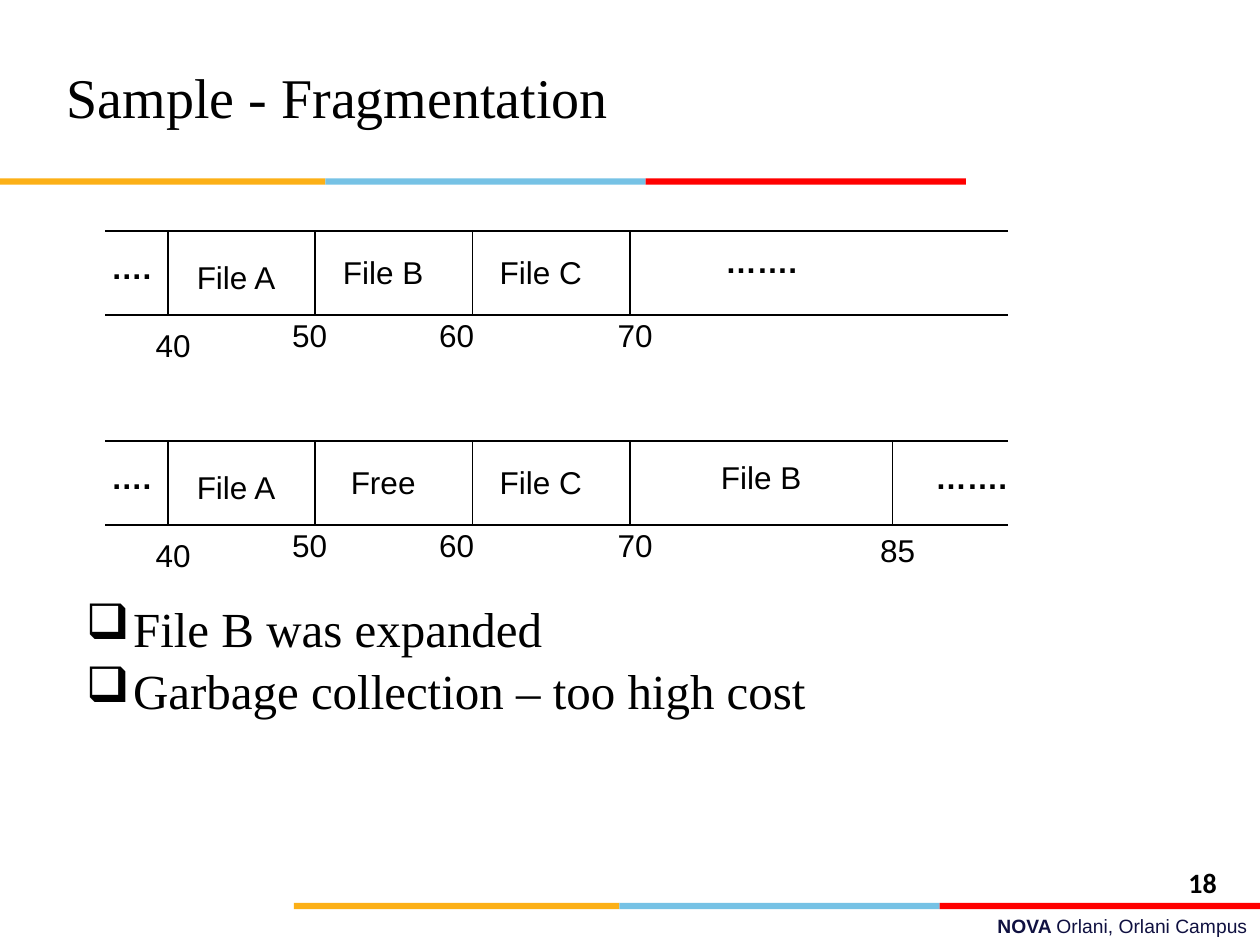
from dataclasses import dataclass, field

from lxml import etree
from pptx import Presentation
from pptx.dml.color import RGBColor
from pptx.enum.shapes import MSO_CONNECTOR, MSO_SHAPE
from pptx.enum.text import MSO_ANCHOR, MSO_AUTO_SIZE, PP_ALIGN
from pptx.oxml.ns import qn
from pptx.slide import Slide
from pptx.text.text import TextFrame
from pptx.util import Pt

RECTANGLE = MSO_SHAPE.RECTANGLE
STRAIGHT = MSO_CONNECTOR.STRAIGHT
LEFT, CENTER, RIGHT = PP_ALIGN.LEFT, PP_ALIGN.CENTER, PP_ALIGN.RIGHT
TOP, MIDDLE = MSO_ANCHOR.TOP, MSO_ANCHOR.MIDDLE
GROW = MSO_AUTO_SIZE.SHAPE_TO_FIT_TEXT

COLOURS = {
    "black": "000000",
    "navy": "101141",
    "gold": "FCB017",
    "sky": "76C2E5",
    "red": "FF0000",
}
LABEL_FONT = {"name": "Arial", "size": Pt(18), "bold": False}
DOTS_FONT = {**LABEL_FONT, "bold": True}
TITLE_FONT = {"name": "Times New Roman", "size": Pt(32)}
BULLET_FONT = {"name": "Times New Roman", "size": Pt(28)}
NUMBER_FONT = {"name": "Calibri", "size": Pt(16), "bold": True}
FOOTER_FONT = {"name": "Arial", "size": Pt(11)}
BULLET_FORMAT = {"line_spacing": 0.9, "space_before": Pt(5.6)}

STRIPES = (("gold", 0, 186), ("sky", 186, 183), ("red", 369, 183))
STRIP_LEFT, BLOCK_LEFT, BLOCK_RIGHT, STRIP_RIGHT = 60, 96, 360, 576
STRIP_HEIGHT = 48
LABEL_HEIGHT = 26.6


@dataclass
class Label:
    text: str
    left: float
    drop: float
    width: float = 66
    font: dict = field(default_factory=lambda: LABEL_FONT)


@dataclass
class DiskStrip:
    top: float
    dividers: list[float]
    labels: list[Label]


SHARED_LABELS = [
    Label("File A", 102, 12),
    Label("File C", 276, 9),
    Label("40", 66, 51),
    Label("50", 144, 45),
    Label("60", 228, 45),
    Label("70", 330, 45),
    Label("….", 54, 6, 42, DOTS_FONT),
]
DISK_STRIPS = [
    DiskStrip(132, [180, 270], SHARED_LABELS + [
        Label("File B", 186, 9),
        Label("…….", 402, 3, font=DOTS_FONT),
    ]),
    DiskStrip(252, [180, 270, 510], SHARED_LABELS + [
        Label("Free", 186, 9),
        Label("File B", 402, 6),
        Label("85", 480, 48),
        Label("…….", 522, 6, font=DOTS_FONT),
    ]),
]


def colour(name: str) -> RGBColor:
    return RGBColor.from_string(COLOURS[name])


def apply_format(target: object, values: dict) -> None:
    for name, value in values.items():
        setattr(target, name, value)


def add_text(slide: Slide, box: tuple, paragraphs: list, font: dict,
             alignment: PP_ALIGN = LEFT, anchor: MSO_ANCHOR = TOP,
             ink: str = "black") -> TextFrame:
    shape = slide.shapes.add_textbox(*map(Pt, box))
    frame = shape.text_frame
    apply_format(frame, {"word_wrap": True, "vertical_anchor": anchor})
    for index, runs in enumerate(paragraphs):
        paragraph = frame.add_paragraph() if index else frame.paragraphs[0]
        paragraph.alignment = alignment
        for text, extra in runs:
            run = paragraph.add_run()
            run.text = text
            apply_format(run.font, {**font, **extra})
            run.font.color.rgb = colour(ink)
    return frame


def add_line(slide: Slide, start: tuple, end: tuple) -> None:
    connector = slide.shapes.add_connector(STRAIGHT, *map(Pt, start + end))
    connector.line.color.rgb = colour("black")
    connector.line.width = Pt(0.75)
    properties = connector._element.spPr
    etree.SubElement(properties, qn("a:effectLst"))


def add_stripes(slide: Slide, left: float, top: float) -> None:
    for name, offset, width in STRIPES:
        shape = slide.shapes.add_shape(
            RECTANGLE, Pt(left + offset), Pt(top), Pt(width), Pt(3.6))
        shape.shadow.inherit = False
        shape.fill.solid()
        shape.fill.fore_color.rgb = colour(name)
        shape.line.fill.background()


def add_disk_strip(slide: Slide, strip: DiskStrip) -> None:
    bottom = strip.top + STRIP_HEIGHT
    block = slide.shapes.add_shape(
        RECTANGLE, Pt(BLOCK_LEFT), Pt(strip.top),
        Pt(BLOCK_RIGHT - BLOCK_LEFT), Pt(STRIP_HEIGHT))
    block.shadow.inherit = False
    block.fill.background()
    block.line.color.rgb = colour("black")
    block.line.width = Pt(0.75)
    for start, end in ((BLOCK_LEFT, STRIP_LEFT), (STRIP_RIGHT, BLOCK_RIGHT)):
        for edge in (strip.top, bottom):
            add_line(slide, (start, edge), (end, edge))
    for divider in strip.dividers:
        add_line(slide, (divider, strip.top), (divider, bottom))
    for label in strip.labels:
        box = (label.left, strip.top + label.drop, label.width, LABEL_HEIGHT)
        frame = add_text(slide, box, [[(label.text, {})]], label.font, CENTER)
        frame.auto_size = GROW


def add_bullets(slide: Slide, box: tuple, lines: list[str]) -> None:
    frame = add_text(slide, box, [[(line, {})] for line in lines], BULLET_FONT)
    for paragraph in frame.paragraphs:
        apply_format(paragraph, BULLET_FORMAT)
        properties = paragraph._p.get_or_add_pPr()
        properties.set("marL", str(Pt(27)))
        properties.set("indent", str(Pt(-27)))
        etree.SubElement(properties, qn("a:buChar"), char="❑")


def main() -> None:
    presentation = Presentation()
    presentation.slide_width, presentation.slide_height = Pt(720), Pt(540)
    slide = presentation.slides.add_slide(presentation.slide_layouts[6])

    footer = [("NOVA ", {"bold": True}), ("Orlani, Orlani Campus", {"bold": False})]
    add_text(slide, (258, 519, 462, 21), [footer], FOOTER_FONT, RIGHT, ink="navy")
    add_stripes(slide, 168, 516)
    add_stripes(slide, 0, 102)
    add_text(slide, (31, 21.6, 482, 67), [[("Sample - Fragmentation", {})]],
             TITLE_FONT, anchor=MIDDLE)
    add_text(slide, (672, 491, 48, 23), [[("18", {})]], NUMBER_FONT)
    add_bullets(slide, (42, 342, 612, 78),
                ["File B was expanded", "Garbage collection – too high cost"])
    for strip in DISK_STRIPS:
        add_disk_strip(slide, strip)

    presentation.save("out.pptx")


if __name__ == "__main__":
    main()
